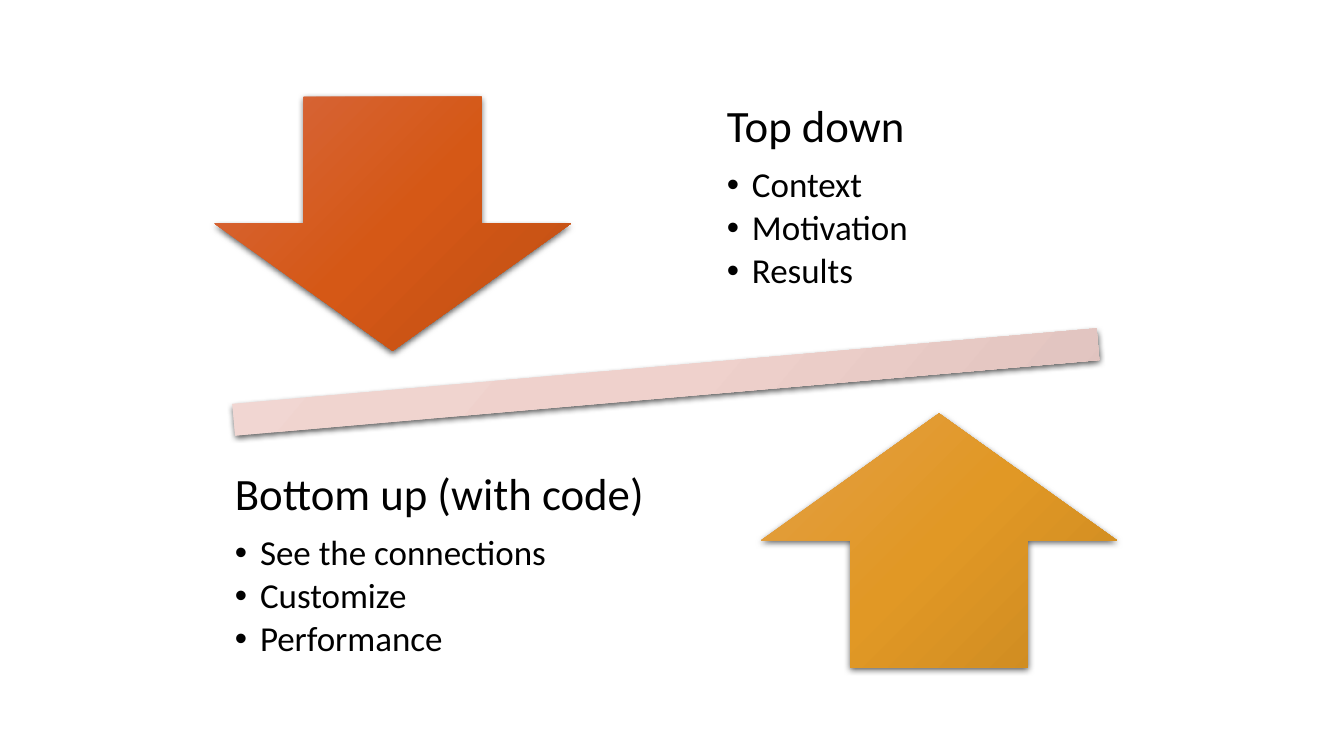
from lxml import etree
from pptx import Presentation
from pptx.dml.color import RGBColor
from pptx.enum.shapes import MSO_SHAPE
from pptx.enum.text import MSO_ANCHOR
from pptx.oxml.ns import qn
from pptx.util import Inches, Pt

MINUS, DOWN, UP = MSO_SHAPE.MATH_MINUS, MSO_SHAPE.DOWN_ARROW, MSO_SHAPE.UP_ARROW
MIDDLE = MSO_ANCHOR.MIDDLE

COLORS = {
    "text": "000000",
    "shadow": "000000",
    "bar": ("F2D9D5", "EFD1CC", "D8BBB7"),
    "down": ("D7673F", "D55816", "BF4F14"),
    "up": ("E39F45", "E19825", "CA8921"),
}
FONT = "Calibri"
ARROW_SIZE = (26.48, 33.6)

# Boxes are left, top, width, height in percent of the slide.
SHAPES = [
    (MINUS, "bar", (5.63, 41.6, 87.83, 17.87), 355),
    (DOWN, "down", (15.98, 12.8, *ARROW_SIZE), 0),
    (UP, "up", (56.63, 54.67, *ARROW_SIZE), 0),
]
TEXTS = [
    ("Top down", ["Context", "Motivation", "Results"], (52.2, 8.53, 28.28, 35.2)),
    ("Bottom up (with code)", ["See the connections", "Customize", "Performance"],
     (15.6, 57.2, 34.43, 35.2)),
]

prs = Presentation()
prs.slide_width, prs.slide_height = Inches(13.333), Inches(7.5)
slide = prs.slides.add_slide(prs.slide_layouts[6])


def place(box):
    sides = (prs.slide_width, prs.slide_height) * 2
    return [int(side * share / 100) for side, share in zip(sides, box)]


def add_node(parent, tag, **attrs):
    node = etree.SubElement(parent, qn(tag))
    for name, value in attrs.items():
        node.set(name, str(value))
    return node


def set_gradient(sp, colors):
    sp.fill.gradient()
    sp.fill.gradient_angle = 315
    stops = sp._element.spPr.find(".//" + qn("a:gsLst"))
    for stop in list(stops):
        stops.remove(stop)
    for i, color in enumerate(colors):
        stop = add_node(stops, "a:gs", pos=i * 50000)
        add_node(stop, "a:srgbClr", val=color)


def set_shadow(sp):
    sp.shadow.inherit = False
    effects = sp._element.spPr.find(qn("a:effectLst"))
    shadow = add_node(effects, "a:outerShdw", blurRad=Pt(4.5), dist=Pt(1.5),
                      dir=5400000, algn="ctr", rotWithShape=0)
    color = add_node(shadow, "a:srgbClr", val=COLORS["shadow"])
    add_node(color, "a:alpha", val=63000)


def add_text(p, text, size, after, bullet=False):
    p.line_spacing = 0.9
    pPr = p._p.get_or_add_pPr()
    add_node(add_node(pPr, "a:spcAft"), "a:spcPct", val=after * 1000)
    if bullet:
        p.level = 1
        pPr.set("marL", str(Inches(0.25)))
        pPr.set("indent", str(-Inches(0.25)))
        add_node(pPr, "a:buFont", typeface="Arial")
        add_node(pPr, "a:buChar", char="•")
    r = p.add_run()
    r.text = text
    r.font.name, r.font.size = FONT, Pt(size)
    r.font.color.rgb = RGBColor.from_string(COLORS["text"])


for kind, color, box, rotation in SHAPES:
    sp = slide.shapes.add_shape(kind, *place(box))
    sp.rotation = rotation
    sp.line.fill.background()
    set_gradient(sp, COLORS[color])
    set_shadow(sp)

for title, items, box in TEXTS:
    tf = slide.shapes.add_textbox(*place(box)).text_frame
    tf.word_wrap, tf.vertical_anchor = True, MIDDLE
    tf.margin_left = tf.margin_right = tf.margin_top = tf.margin_bottom = Inches(0.25)
    add_text(tf.paragraphs[0], title, 32, 35)
    for item in items:
        add_text(tf.add_paragraph(), item, 25, 15, bullet=True)

prs.save("out.pptx")
